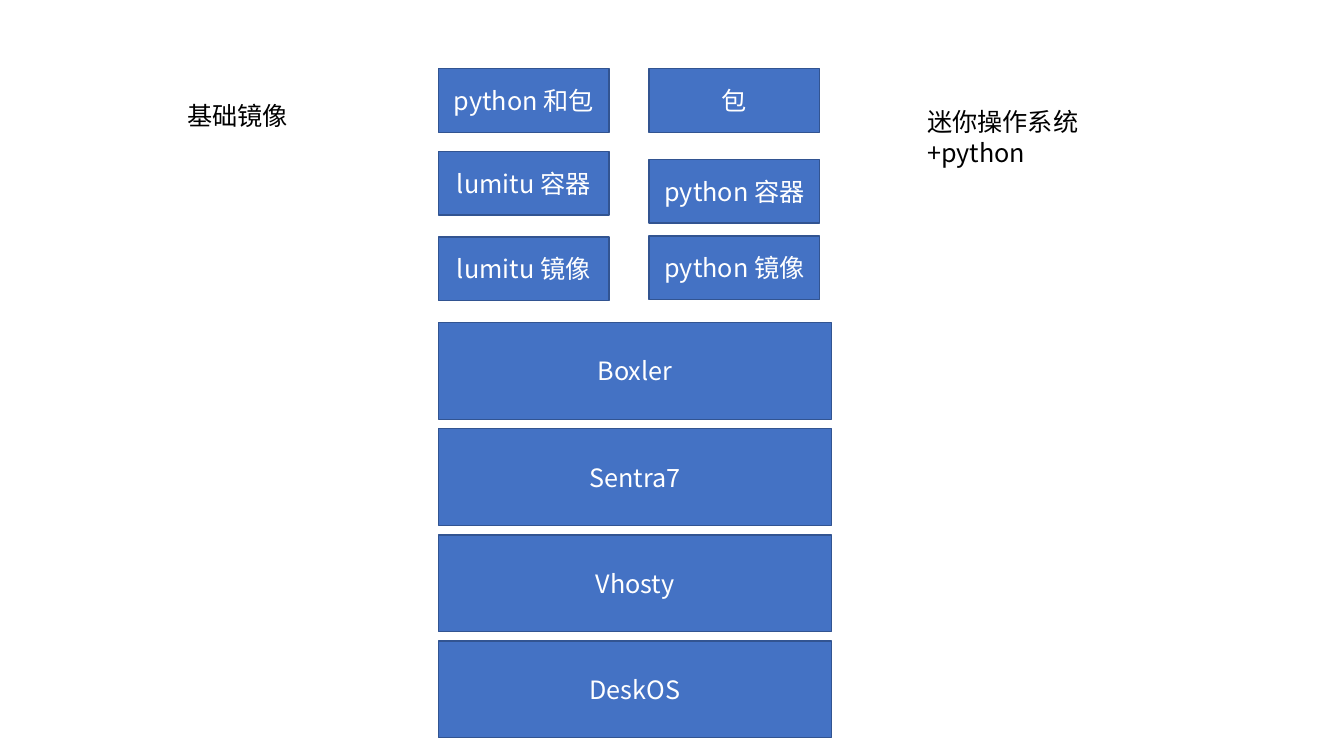
from dataclasses import dataclass

from pptx import Presentation
from pptx.dml.color import RGBColor
from pptx.enum.shapes import MSO_SHAPE
from pptx.enum.text import MSO_ANCHOR, PP_ALIGN
from pptx.util import Pt


@dataclass(frozen=True)
class Theme:
    font: str = "Noto Sans CJK SC"
    text_size: float = 18
    outline_width: float = 1
    block_fill: RGBColor = RGBColor(0x44, 0x72, 0xC4)
    block_outline: RGBColor = RGBColor(0x32, 0x54, 0x91)
    block_text: RGBColor = RGBColor(0xFF, 0xFF, 0xFF)
    note_text: RGBColor = RGBColor(0x00, 0x00, 0x00)


class StackSlide:
    """Draws on one slide in one theme; lengths are in points."""

    def __init__(self, slide, theme):
        self.slide = slide
        self.theme = theme

    def set_text(self, frame, text, color, align):
        frame.text = text
        paragraph = frame.paragraphs[0]
        paragraph.alignment = align
        paragraph.font.name = self.theme.font
        paragraph.font.size = Pt(self.theme.text_size)
        paragraph.font.color.rgb = color

    def block(self, text, left, top, width, height):
        block = self.slide.shapes.add_shape(
            MSO_SHAPE.RECTANGLE, Pt(left), Pt(top), Pt(width), Pt(height))
        block.shadow.inherit = False
        block.fill.solid()
        block.fill.fore_color.rgb = self.theme.block_fill
        block.line.color.rgb = self.theme.block_outline
        block.line.width = Pt(self.theme.outline_width)
        block.text_frame.word_wrap = True
        block.text_frame.vertical_anchor = MSO_ANCHOR.MIDDLE
        self.set_text(block.text_frame, text, self.theme.block_text, PP_ALIGN.CENTER)

    def note(self, text, left, top, width, height, wrap):
        note = self.slide.shapes.add_textbox(Pt(left), Pt(top), Pt(width), Pt(height))
        note.text_frame.word_wrap = wrap
        self.set_text(note.text_frame, text, self.theme.note_text, PP_ALIGN.LEFT)


STACK_LEFT = 313.2
PYTHON_LEFT = 463.68

HOST_LAYERS = ["Boxler", "Sentra7", "Vhosty", "DeskOS"]
HOST_TOP, HOST_PITCH = 230.4, 75.84
HOST_WIDTH, HOST_HEIGHT = 280.8, 69.12

CONTAINER_COLUMNS = {
    STACK_LEFT: [("python 和包", 48.96), ("lumitu 容器", 108), ("lumitu 镜像", 169.2)],
    PYTHON_LEFT: [("包", 48.96), ("python 容器", 113.76), ("python 镜像", 168.48)],
}
CONTAINER_WIDTH, CONTAINER_HEIGHT = 121.9, 45.6


def main():
    presentation = Presentation()
    presentation.slide_width = Pt(960)
    presentation.slide_height = Pt(540)
    blank_layout = presentation.slide_layouts[6]
    stack = StackSlide(presentation.slides.add_slide(blank_layout), Theme())

    for level, layer in enumerate(HOST_LAYERS):
        stack.block(layer, STACK_LEFT, HOST_TOP + level * HOST_PITCH,
                    HOST_WIDTH, HOST_HEIGHT)
    for left, layers in CONTAINER_COLUMNS.items():
        for layer, top in layers:
            stack.block(layer, left, top, CONTAINER_WIDTH, CONTAINER_HEIGHT)

    stack.note("基础镜像", 126.72, 68.4, 87.12, 28.8, wrap=False)
    stack.note("迷你操作系统+python", 655.2, 72.72, 187.2, 28.8, wrap=True)

    presentation.save("out.pptx")


if __name__ == "__main__":
    main()
